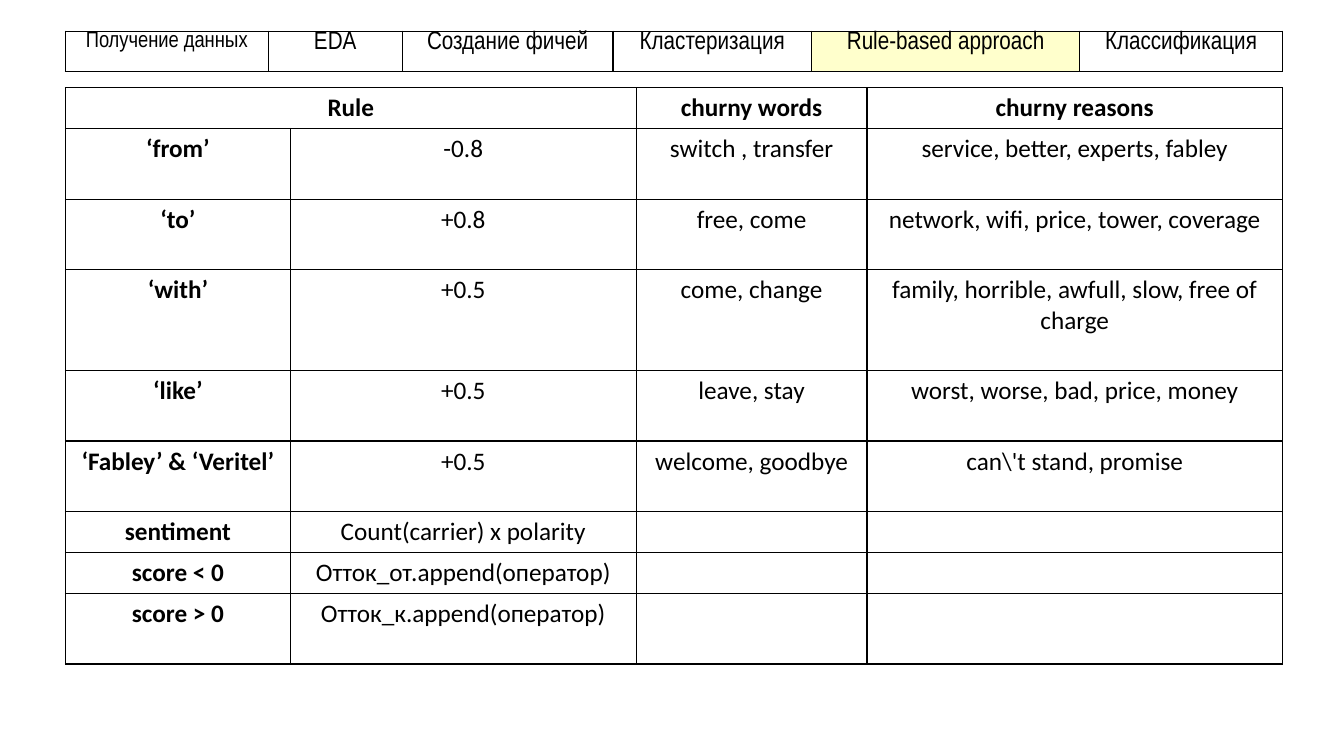
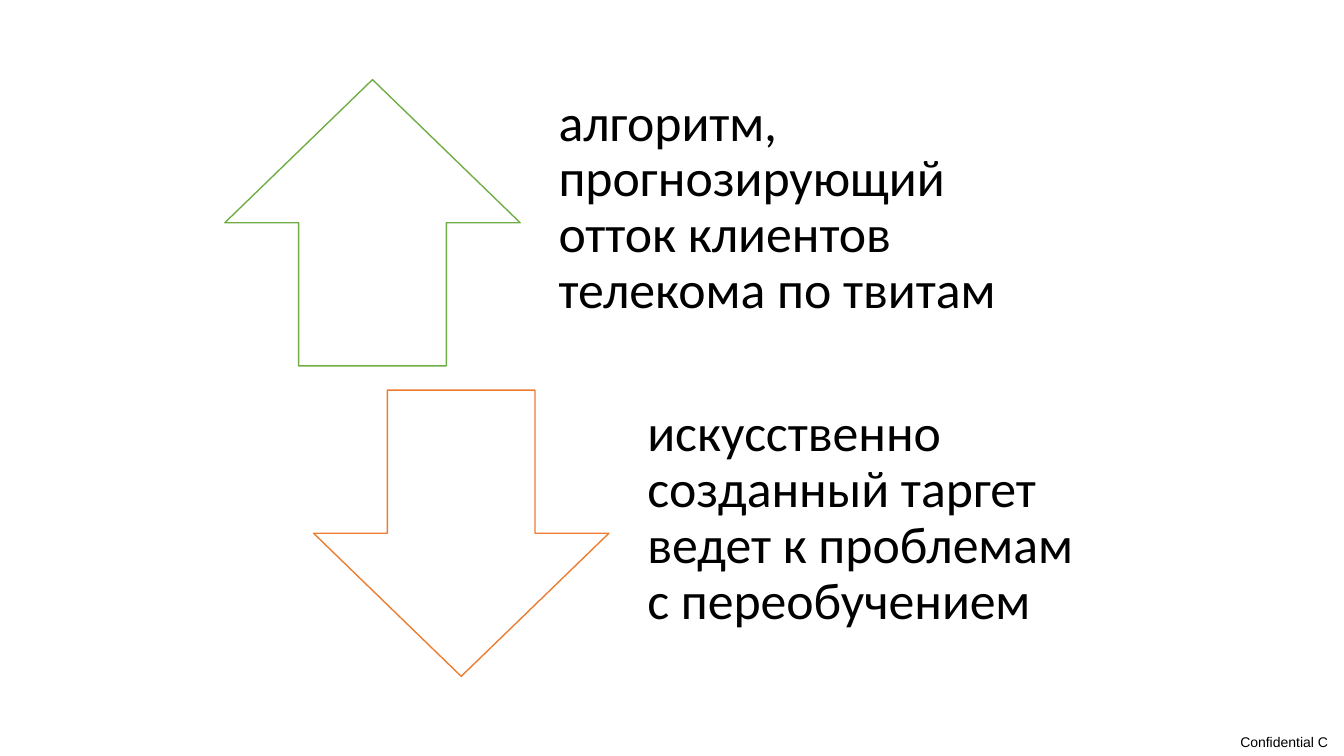
from lxml import etree
from pptx import Presentation
from pptx.dml.color import RGBColor
from pptx.enum import shapes, text
from pptx.oxml import ns
from pptx.util import Inches, Pt

COLORS = {
    "white": "FFFFFF",
    "black": "000000",
    "highlight": "FFFFCC",
    "up": "70AD47",
    "down": "ED7D31",
}


def add_grid(page, top, widths, heights, margin_x, margin_y):
    """Add a white table with thin black borders at the shared left edge."""
    frame = page.shapes.add_table(
        len(heights), len(widths), Inches(0.65), Inches(top),
        Inches(sum(widths)), Inches(sum(heights)))
    table = frame.table
    for column, width in zip(table.columns, widths):
        column.width = Inches(width)
    for row, height in zip(table.rows, heights):
        row.height = Inches(height)
    for cell in table.iter_cells():
        cell.margin_left = cell.margin_right = Inches(margin_x)
        cell.margin_top = cell.margin_bottom = Inches(margin_y)
        properties = cell._tc.get_or_add_tcPr()
        for side in ("lnL", "lnR", "lnT", "lnB"):
            line = etree.SubElement(properties, ns.qn(f"a:{side}"), w=str(Pt(1)))
            fill = etree.SubElement(line, ns.qn("a:solidFill"))
            etree.SubElement(fill, ns.qn("a:srgbClr"), val=COLORS["black"])
        cell.fill.solid()
        cell.fill.fore_color.rgb = RGBColor.from_string(COLORS["white"])
    return table


def style_text(para, font_name, size, align, bold=False):
    para.alignment = align
    para.font.name = font_name
    para.font.size = Pt(size)
    para.font.bold = bold
    para.font.color.rgb = RGBColor.from_string(COLORS["black"])


deck = Presentation()
deck.slide_width = Inches(13.33)
deck.slide_height = Inches(7.5)
blank = deck.slide_layouts[6]
ALIGN = text.PP_ALIGN

# Slide 1: project stages and the rule table
page = deck.slides.add_slide(blank)

stages = ["Получение данных", "EDA", "Создание фичей", "Кластеризация",
          "Rule-based approach", "Классификация"]
current_stage = 4
stage_table = add_grid(page, 0.31, [2.01, 1.33, 2.09, 1.97, 2.66, 2.01], [0.4], 0.05, 0)
for index, stage in enumerate(stages):
    cell = stage_table.cell(0, index)
    cell.text = stage
    style_text(cell.text_frame.paragraphs[0], "Arial Narrow",
               16 if index == 0 else 18, ALIGN.CENTER)
stage_table.cell(0, current_stage).fill.fore_color.rgb = RGBColor.from_string(
    COLORS["highlight"])

rules = [
    ("Rule", "", "churny words", "churny reasons"),
    ("‘from’", "-0.8", "switch , transfer", "service, better, experts, fabley"),
    ("‘to’", "+0.8", "free, come", "network, wifi, price, tower, coverage"),
    ("‘with’", "+0.5", "come, change", "family, horrible, awfull, slow, free of charge"),
    ("‘like’", "+0.5", "leave, stay", "worst, worse, bad, price, money"),
    ("‘Fabley’ & ‘Veritel’", "+0.5", "welcome, goodbye", "can\\'t stand, promise"),
    ("sentiment", "Count(carrier) x polarity", "", ""),
    ("score < 0", "Отток_от.append(оператор)", "", ""),
    ("score > 0", "Отток_к.append(оператор)", "", ""),
]
rule_heights = [0.4, 0.7, 0.7, 1, 0.7, 0.7, 0.4, 0.4, 0.7]
rule_table = add_grid(page, 0.87, [2.23, 3.43, 2.29, 4.12], rule_heights, 0.07, 0.05)
rule_table.cell(0, 0).merge(rule_table.cell(0, 1))
for row_index, rule in enumerate(rules):
    for column_index, words in enumerate(rule):
        cell = rule_table.cell(row_index, column_index)
        if cell.is_spanned:
            continue
        cell.text = words
        style_text(cell.text_frame.paragraphs[0], "Calibri", 18, ALIGN.CENTER,
                   bold=row_index == 0 or column_index == 0)

# Slide 2: strength and weakness of the algorithm
page = deck.slides.add_slide(blank)

footer = page.shapes.add_textbox(Inches(12.15), Inches(7.23), Inches(1.02), Inches(0.27))
frame = footer.text_frame
frame.margin_left = frame.margin_right = frame.margin_top = frame.margin_bottom = 0
frame.vertical_anchor = text.MSO_ANCHOR.MIDDLE
frame.text = "Confidential C"
style_text(frame.paragraphs[0], "Arial", 10, ALIGN.RIGHT)

points = [
    (2.23, 0.79, shapes.MSO_SHAPE.UP_ARROW, "up",
     "алгоритм, прогнозирующий отток клиентов телекома по твитам"),
    (3.11, 3.87, shapes.MSO_SHAPE.DOWN_ARROW, "down",
     "искусственно созданный таргет ведет к проблемам с переобучением"),
]
point_height = Inches(2.84)
for left, top, arrow_kind, color, words in points:
    arrow = page.shapes.add_shape(
        arrow_kind, Inches(left), Inches(top), Inches(2.93), point_height)
    arrow.shadow.inherit = False
    arrow.fill.solid()
    arrow.fill.fore_color.rgb = RGBColor.from_string(COLORS["white"])
    arrow.line.color.rgb = RGBColor.from_string(COLORS[color])
    arrow.line.width = Pt(1)

    box = page.shapes.add_textbox(
        Inches(left + 3.02), Inches(top), Inches(4.98), point_height)
    frame = box.text_frame
    frame.word_wrap = True
    frame.vertical_anchor = text.MSO_ANCHOR.MIDDLE
    frame.margin_top = 0
    frame.margin_left = frame.margin_right = frame.margin_bottom = Inches(0.29)
    frame.text = words
    para = frame.paragraphs[0]
    style_text(para, "Calibri", 37, ALIGN.LEFT)
    para.line_spacing = 0.9

deck.save("out.pptx")
